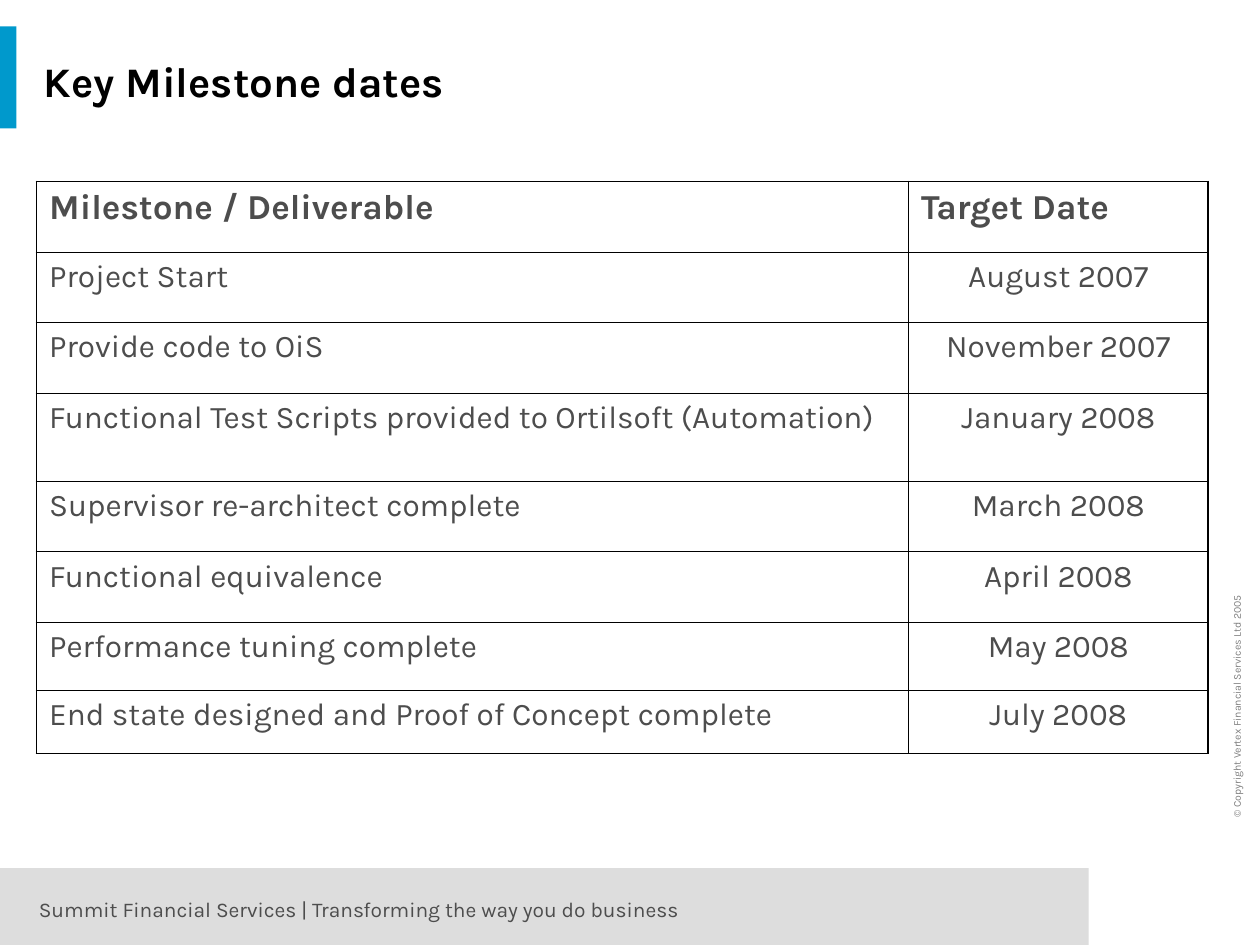
from lxml import etree
from pptx import Presentation
from pptx.dml.color import RGBColor
from pptx.enum import shapes, text
from pptx.oxml.ns import qn
from pptx.util import Inches, Pt

FONT = "Karla"
COLORS = {
    "white": "FFFFFF", "black": "000000", "blue": "0099CC",
    "band": "DDDDDD", "body": "4D4D4D", "muted": "808080",
}
ROWS = [
    ("Milestone / Deliverable", "Target Date", 0.56),
    ("Project Start", "August 2007", 0.56),
    ("Provide code to OiS", "November 2007", 0.56),
    ("Functional Test Scripts provided to Ortilsoft (Automation)", "January 2008", 0.7),
    ("Supervisor re-architect complete", "March 2008", 0.56),
    ("Functional equivalence", "April 2008", 0.56),
    ("Performance tuning complete", "May 2008", 0.54),
    ("End state designed and Proof of Concept complete", "July 2008", 0.5),
]
COLS = (6.92, 2.38)
THIN, THICK = 0.45, 1.08


def rgb(name):
    return RGBColor.from_string(COLORS[name])


def write(frame, words, size, color, bold=False):
    frame.text = words
    font = frame.paragraphs[0].runs[0].font
    font.name, font.size, font.bold = FONT, Pt(size), bold
    font.color.rgb = rgb(color)


def label(slide, box, words, size, color, bold=False):
    shape = slide.shapes.add_textbox(*map(Inches, box))
    shape.text_frame.word_wrap = True
    write(shape.text_frame, words, size, color, bold)
    return shape


def block(slide, box, color):
    shape = slide.shapes.add_shape(shapes.MSO_SHAPE.RECTANGLE, *map(Inches, box))
    shape.shadow.inherit = False
    shape.fill.solid()
    shape.fill.fore_color.rgb = rgb(color)
    shape.line.fill.background()


def edge(cell, side, width):
    """Draw one black border; call in the order L, R, T, B before filling."""
    line = etree.SubElement(cell._tc.get_or_add_tcPr(), qn("a:ln" + side),
                            w=str(int(Pt(width))))
    fill = etree.SubElement(line, qn("a:solidFill"))
    etree.SubElement(fill, qn("a:srgbClr"), val=COLORS["black"])


def header(slide, left, top, width, height):
    block(slide, (left, top + 0.11, 0.13, 0.81), "blue")
    title = label(slide, (left + 0.25, top, width - 0.51, height),
                  "Key Milestone dates", 24, "black", True)
    title.text_frame.vertical_anchor = text.MSO_ANCHOR.MIDDLE


def schedule(slide, left, top, width, height):
    frame = slide.shapes.add_table(len(ROWS), len(COLS),
                                   *map(Inches, (left, top, width, height)))
    table = frame.table
    table.first_row = table.horz_banding = False
    for col, size in zip(table.columns, COLS):
        col.width = Inches(size)
    last = len(ROWS) - 1
    for r, (*words, size) in enumerate(ROWS):
        table.rows[r].height = Inches(size)
        for c, word in enumerate(words):
            cell = table.cell(r, c)
            outer = {"L": c == 0, "R": c == 1, "T": r == 0, "B": r == last}
            for side, thick in outer.items():
                edge(cell, side, THICK if thick else THIN)
            cell.fill.background()
            write(cell.text_frame, word, 18 if r else 20, "body", r == 0)
            if r and c:
                cell.text_frame.paragraphs[0].alignment = text.PP_ALIGN.CENTER


def footer(slide, left, top, width, height):
    block(slide, (left, top, width, height), "band")
    x = left + width + 0.01
    rule = slide.shapes.add_connector(
        shapes.MSO_CONNECTOR.STRAIGHT,
        *map(Inches, (x, top + height, x, top - 0.01)))
    rule.line.color.rgb = rgb("white")
    rule.line.width = Pt(1.5)
    etree.SubElement(rule._element.spPr, qn("a:effectLst"))
    label(slide, (left + 0.21, top + 0.18, 8.13, 0.3),
          "Summit Financial Services | Transforming the way you do business",
          12, "body")


def notice(slide, left, top, width, height):
    """Place the copyright line, which reads upwards."""
    shape = label(slide, (left, top, width, height),
                  "© Copyright Vertex Financial Services Ltd 2005", 6, "muted")
    shape.rotation = 270


def main():
    deck = Presentation()
    deck.slide_width, deck.slide_height = Inches(10), Inches(7.5)
    slide = deck.slides.add_slide(deck.slide_layouts[6])
    footer(slide, 0, 6.89, 8.64, 0.61)
    notice(slide, 8.76, 5.43, 2.11, 0.2)
    header(slide, 0, 0.1, 10, 1.08)
    schedule(slide, 0.29, 1.44, sum(COLS), sum(row[-1] for row in ROWS))
    deck.save("out.pptx")


if __name__ == "__main__":
    main()
